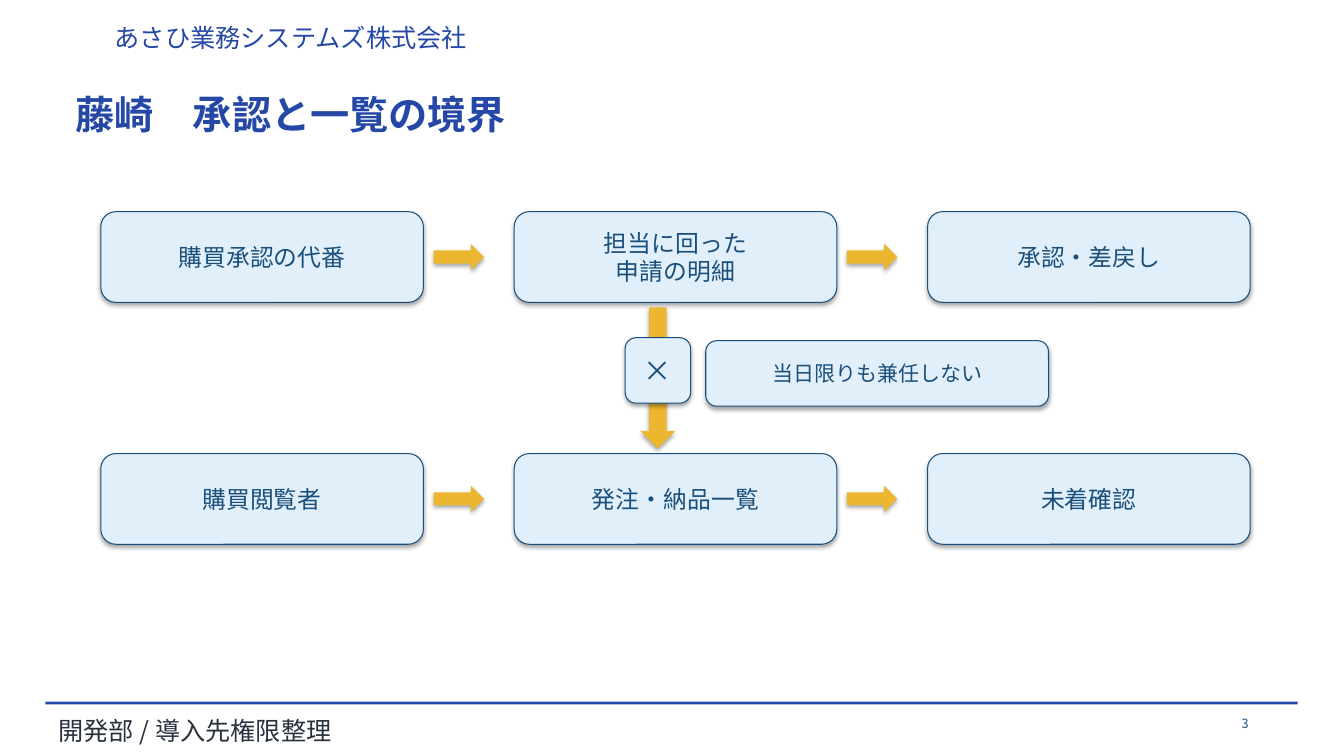
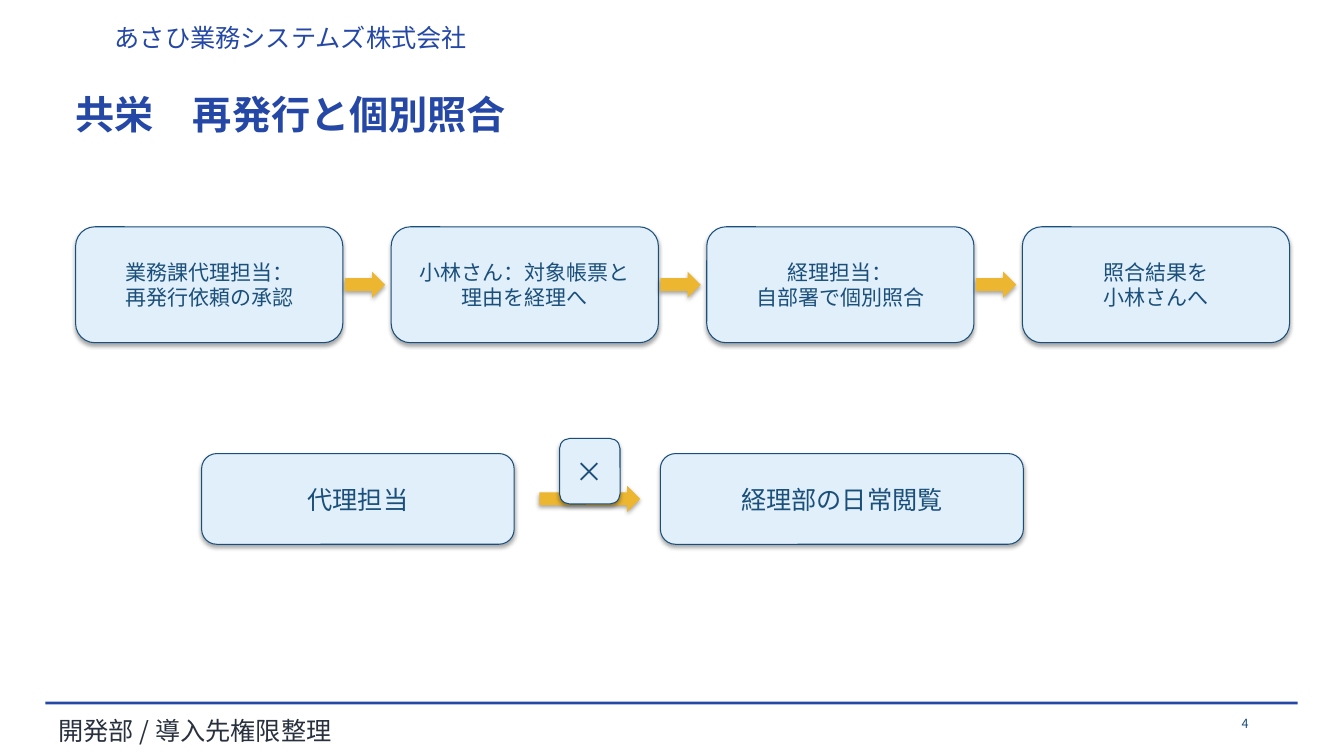
from lxml import etree
from pptx import Presentation
from pptx.dml.color import RGBColor
from pptx.enum.shapes import MSO_SHAPE
from pptx.enum.text import MSO_ANCHOR, PP_ALIGN
from pptx.oxml.ns import qn
from pptx.util import Inches, Pt

RECT, ROUND = MSO_SHAPE.RECTANGLE, MSO_SHAPE.ROUNDED_RECTANGLE
RIGHT, DOWN = MSO_SHAPE.RIGHT_ARROW, MSO_SHAPE.DOWN_ARROW
TOP, MIDDLE = MSO_ANCHOR.TOP, MSO_ANCHOR.MIDDLE
LEFT, CENTER = PP_ALIGN.LEFT, PP_ALIGN.CENTER

FONT = "Noto Sans CJK JP"
COLORS = {
    "brand": "2548A6",
    "footer": "29313F",
    "ink": "1B4F7B",
    "box": "E0EFF9",
    "arrow": "ECB630",
}
ARROW_H = 0.26


def write(sp, text, size, color="ink", bold=False, align=CENTER, anchor=MIDDLE):
    tf = sp.text_frame
    for key, value in {"word_wrap": True, "vertical_anchor": anchor}.items():
        setattr(tf, key, value)
    p = tf.paragraphs[0]
    p.text = text
    p.alignment = align
    for r in p.runs:
        for key, value in {"name": FONT, "size": Pt(size), "bold": bold}.items():
            setattr(r.font, key, value)
        r.font.color.rgb = RGBColor.from_string(COLORS[color])
        etree.SubElement(r._r.get_or_add_rPr(), qn("a:ea"), typeface=FONT)


def add_shape(s, kind, at, fill, text="", size=17, shadow=True):
    sp = s.shapes.add_shape(kind, *map(Inches, at))
    sp.fill.solid()
    sp.fill.fore_color.rgb = RGBColor.from_string(COLORS[fill])
    if not shadow:
        sp.shadow.inherit = False
    if text:
        sp.line.color.rgb = RGBColor.from_string(COLORS["ink"])
        sp.line.width = Pt(0.75)
        write(sp, text, size)
    else:
        sp.line.fill.background()


prs = Presentation()
prs.slide_width, prs.slide_height = Inches(13.33), Inches(7.5)

slides = []
for number, title in enumerate(["藤崎　承認と一覧の境界", "共栄　再発行と個別照合"], 3):
    s = prs.slides.add_slide(prs.slide_layouts[6])
    slides.append(s)
    add_shape(s, RECT, (0.45, 6.96, 12.42, 0.03), "brand", shadow=False)
    for at, text, size, color, bold, align, anchor in [
        ((1.04, 0.17, 7, 0.34), "あさひ業務システムズ株式会社", 18, "brand", False, LEFT, TOP),
        ((0.48, 7.05, 10, 0.26), "開発部 / 導入先権限整理", 18, "footer", False, LEFT, TOP),
        ((0.65, 0.85, 12, 1), title, 28, "brand", True, LEFT, TOP),
        ((12.05, 7.03, 0.6, 0.3), str(number), 9, "ink", False, CENTER, MIDDLE),
    ]:
        sp = s.shapes.add_textbox(*map(Inches, at))
        write(sp, text, size, color, bold, align, anchor)

approval, reissue = slides

flows = [
    (approval, 1, 2.1, 3.2, 0.9, 4.1, 0.1, 0.5, 17,
     ["購買承認の代番", "担当に回った\n申請の明細", "承認・差戻し"]),
    (approval, 1, 4.5, 3.2, 0.9, 4.1, 0.1, 0.5, 17,
     ["購買閲覧者", "発注・納品一覧", "未着確認"]),
    (reissue, 0.75, 2.25, 2.65, 1.15, 3.13, 0.02, 0.4, 15,
     ["業務課代理担当：\n再発行依頼の承認", "小林さん：対象帳票と\n理由を経理へ",
      "経理担当：\n自部署で個別照合", "照合結果を\n小林さんへ"]),
]
for s, left, top, width, height, pitch, gap, arrow_w, size, steps in flows:
    arrow_top = top + (height - ARROW_H) / 2
    for i, step in enumerate(steps):
        x = left + i * pitch
        add_shape(s, ROUND, (x, top, width, height), "box", step, size)
        if i < len(steps) - 1:
            add_shape(s, RIGHT, (x + width + gap, arrow_top, arrow_w, ARROW_H), "arrow")

add_shape(approval, DOWN, (6.35, 3.05, 0.35, 1.4), "arrow")
add_shape(reissue, RIGHT, (5.35, 4.82, 1, ARROW_H), "arrow")
for s, at, text, size in [
    (approval, (6.2, 3.35, 0.65, 0.65), "×", 20),
    (approval, (7, 3.38, 3.4, 0.65), "当日限りも兼任しない", 15),
    (reissue, (2, 4.5, 3.1, 0.9), "代理担当", 18),
    (reissue, (6.55, 4.5, 3.6, 0.9), "経理部の日常閲覧", 18),
    (reissue, (5.55, 4.35, 0.6, 0.65), "×", 20),
]:
    add_shape(s, ROUND, at, "box", text, size)

prs.save("out.pptx")
